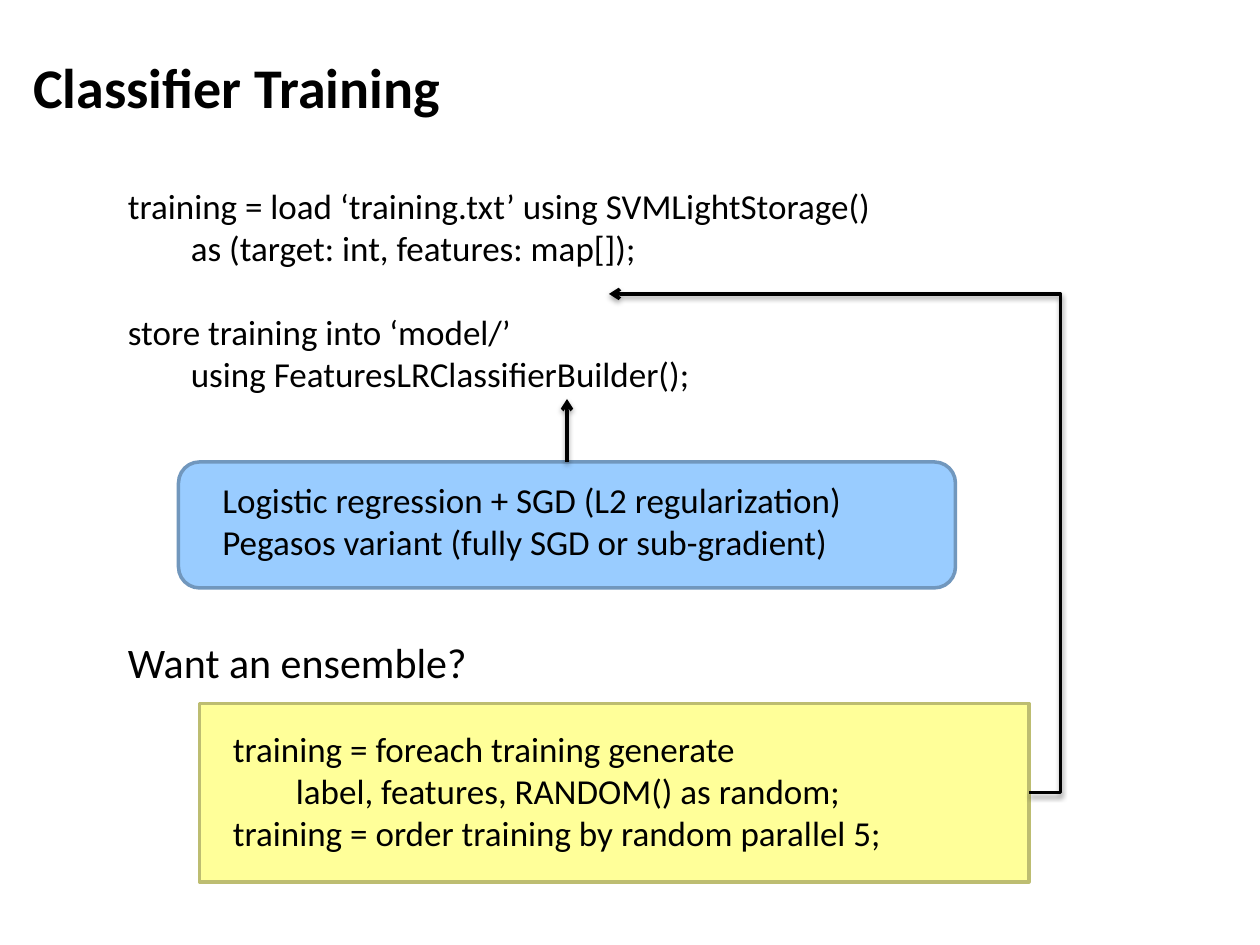
from lxml.etree import SubElement
from pptx import Presentation
from pptx.dml.color import RGBColor
from pptx.enum.shapes import MSO_CONNECTOR, MSO_SHAPE
from pptx.enum.text import MSO_ANCHOR
from pptx.oxml.ns import qn
from pptx.util import Pt

COLOURS = {
    "ink": "000000",
    "blue": "99CCFF",
    "blue edge": "7197BD",
    "yellow": "FFFF99",
    "yellow edge": "BDBD71",
}
FONT = "Calibri"


def colour(name):
    """Return the named colour."""
    return RGBColor.from_string(COLOURS[name])


def add_text(page, box, lines, size=20, bold=False, anchor=MSO_ANCHOR.TOP):
    """Place lines of text in a box and return its paragraphs."""
    frame = page.shapes.add_textbox(*map(Pt, box)).text_frame
    frame.word_wrap = True
    frame.vertical_anchor = anchor
    frame.text = "\n".join(lines)
    for para in frame.paragraphs:
        para.font.name = FONT
        para.font.size = Pt(size)
        para.font.bold = bold
        para.font.color.rgb = colour("ink")
    return frame.paragraphs


def add_panel(page, kind, box, fill):
    """Place a filled, outlined panel."""
    panel = page.shapes.add_shape(kind, *map(Pt, box))
    panel.shadow.inherit = False
    panel.fill.solid()
    panel.fill.fore_color.rgb = colour(fill)
    panel.line.color.rgb = colour(f"{fill} edge")
    panel.line.width = Pt(2)
    return panel


def add_arrow(page, kind, panel, site, end):
    """Draw a shadowed arrow from a side of a panel to a point."""
    arrow = page.shapes.add_connector(kind, 0, 0, *map(Pt, end))
    arrow.begin_connect(panel, site)
    arrow.line.color.rgb = colour("ink")
    arrow.line.width = Pt(2)
    SubElement(arrow.line._get_or_add_ln(), qn("a:tailEnd"), type="arrow")
    effects = SubElement(arrow._element.spPr, qn("a:effectLst"))
    shadow = SubElement(effects, qn("a:outerShdw"), blurRad=str(Pt(3.1)),
                        dist=str(Pt(1.6)), dir="5400000", rotWithShape="0")
    shade = SubElement(shadow, qn("a:srgbClr"), val=COLOURS["ink"])
    SubElement(shade, qn("a:alpha"), val="38000")
    return arrow


def add_script(page, box):
    """Place the training script as two separated statements."""
    paragraphs = add_text(page, box, [
        "training = load ‘training.txt’ using SVMLightStorage()",
        "\tas (target: int, features: map[]);",
        "store training into ‘model/’",
        "\tusing FeaturesLRClassifierBuilder();",
    ])
    paragraphs[2].space_before = Pt(24)


def add_ensemble(page, box, target):
    """Place the ensemble code panel and its elbow arrow to the target."""
    left, top, width, height = box
    panel = add_panel(page, MSO_SHAPE.RECTANGLE, box, "yellow")
    add_text(page, (left + 12, top + 10, width - 18, 80), [
        "training = foreach training generate",
        "\tlabel, features, RANDOM() as random;",
        "training = order training by random parallel 5;",
    ])
    arrow = add_arrow(page, MSO_CONNECTOR.ELBOW, panel, 3, target)
    overshoot = 18 / (left + width - target[0])
    guides = arrow._element.spPr.find(qn("a:prstGeom")).get_or_add_avLst()
    SubElement(guides, qn("a:gd"), name="adj1",
               fmla=f"val {round(-overshoot * 100000)}")


def add_learners(page, box):
    """Place the learner panel with an arrow up to the script."""
    left, top, width, height = box
    panel = add_panel(page, MSO_SHAPE.ROUNDED_RECTANGLE, box, "blue")
    add_text(page, (left + 18, top + 6, width - 26, 56), [
        "Logistic regression + SGD (L2 regularization)",
        "Pegasos variant (fully SGD or sub-gradient)",
    ])
    add_arrow(page, MSO_CONNECTOR.STRAIGHT, panel, 0,
              (left + width / 2, top - 36))


def main():
    """Build and save the deck."""
    deck = Presentation()
    deck.slide_width, deck.slide_height = Pt(720), Pt(540)
    page = deck.slides.add_slide(deck.slide_layouts[6])
    add_text(page, (12, 9, 684, 80), ["Classifier Training"], 32, True,
             MSO_ANCHOR.MIDDLE)
    add_script(page, (66, 102, 570, 128))
    add_text(page, (66, 360, 230, 36), ["Want an ensemble?"], 24)
    add_ensemble(page, (114, 402, 474, 102), (348, 168))
    add_learners(page, (102, 264, 444, 72))
    deck.save("out.pptx")


if __name__ == "__main__":
    main()
